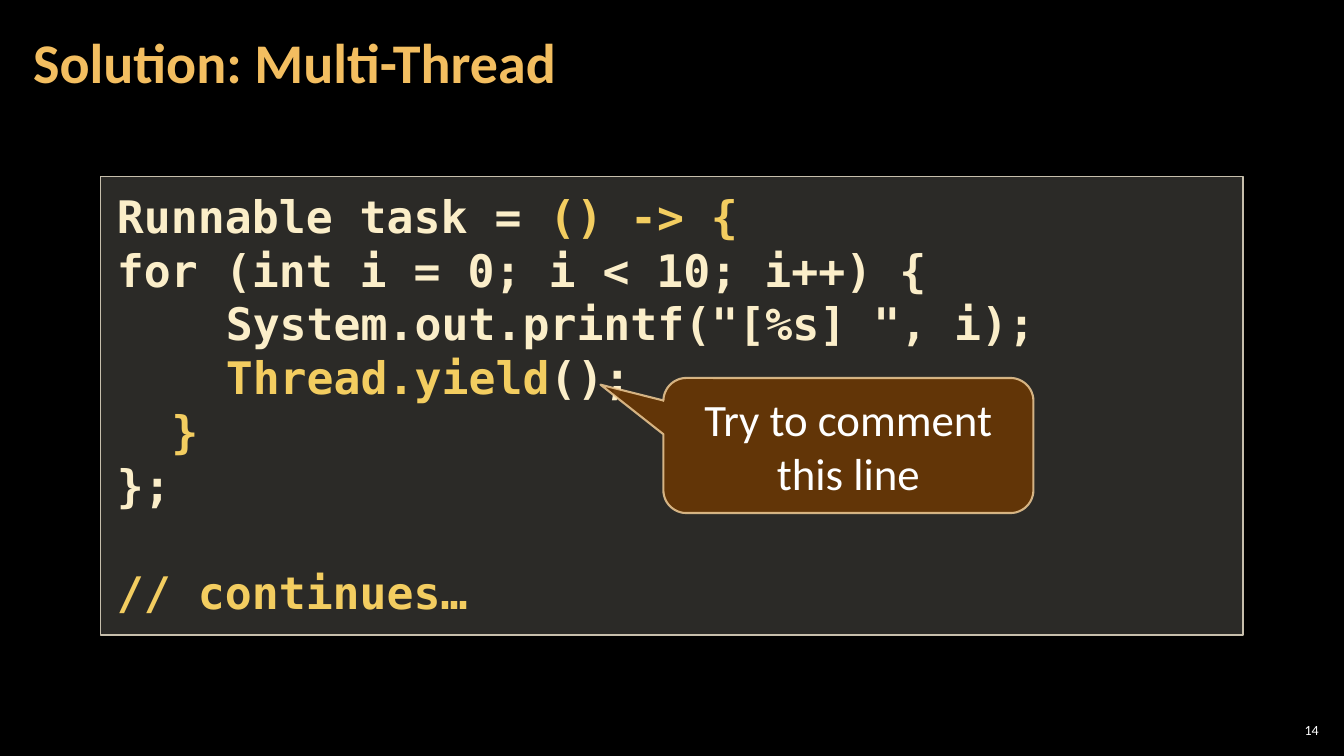
"""Builds the slide "Solution: Multi-Thread" with a code panel and a callout."""
from lxml import etree
from pptx import Presentation
from pptx.dml.color import RGBColor
from pptx.enum.shapes import MSO_SHAPE
from pptx.enum.text import MSO_ANCHOR, PP_ALIGN
from pptx.oxml.ns import qn
from pptx.util import Inches, Pt

RECTANGLE, CALLOUT = MSO_SHAPE.RECTANGLE, MSO_SHAPE.ROUNDED_RECTANGULAR_CALLOUT
TOP, MIDDLE = MSO_ANCHOR.TOP, MSO_ANCHOR.MIDDLE
LEFT, CENTER, RIGHT = PP_ALIGN.LEFT, PP_ALIGN.CENTER, PP_ALIGN.RIGHT
COLORS = {
    "background": "000000", "title": "F3BE60", "white": "FFFFFF",
    "code": "FBEEC9", "highlight": "F3CD60",
    "panel": "D9D5C7", "panel_line": "C7BFAC",
    "callout": "663606", "callout_line": "F8D49E",
}
CODE_FONT = "DejaVu Sans Mono"
CODE_SIZE = 32
CHARACTER_WIDTH = 0.27
LINE_HEIGHT = 38.4


def write(shape, lines, size, font="Calibri", bold=False, align=LEFT,
          anchor=MIDDLE, margins=(0.1, 0.05), line_spacing=None):
    """Fill a shape with lines of (indent, space before, [(text, color)])."""
    frame = shape.text_frame
    frame.word_wrap = True
    frame.vertical_anchor = anchor
    frame.margin_left = frame.margin_right = Inches(margins[0])
    frame.margin_top = frame.margin_bottom = Inches(margins[1])
    for number, (indent, space_before, parts) in enumerate(lines):
        paragraph = frame.paragraphs[0] if number == 0 else frame.add_paragraph()
        paragraph.alignment = align
        paragraph.space_before = Pt(space_before)
        if line_spacing:
            paragraph.line_spacing = line_spacing
        if indent:
            paragraph._p.get_or_add_pPr().set("marL", str(Inches(indent)))
        for text, color in parts:
            run = paragraph.add_run()
            run.text = text
            run.font.size = Pt(size)
            run.font.name = font
            run.font.bold = bold
            run.font.color.rgb = RGBColor.from_string(COLORS[color])


def paint(shape, name, opacity, line_width, line_opacity=100):
    """Give a shape a translucent fill and an outline."""
    shape.shadow.inherit = False
    shape.fill.solid()
    shape.line.width = Pt(line_width)
    for fill, color, percent in ((shape.fill, name, opacity),
                                 (shape.line.fill, name + "_line", line_opacity)):
        fill.solid()
        fill.fore_color.rgb = RGBColor.from_string(COLORS[color])
    outline = shape._element.spPr.find(qn("a:ln"))
    for parent, percent in ((shape._element.spPr, opacity), (outline, line_opacity)):
        rgb = parent.find(qn("a:solidFill")).find(qn("a:srgbClr"))
        etree.SubElement(rgb, qn("a:alpha")).set("val", str(percent * 1000))


deck = Presentation()
deck.slide_width, deck.slide_height = Inches(13.33), Inches(7.5)
slide = deck.slides.add_slide(deck.slide_layouts[6])
slide.background.fill.solid()
slide.background.fill.fore_color.rgb = RGBColor.from_string(COLORS["background"])

page_number = slide.shapes.add_textbox(
    Inches(12.65), Inches(7.14), Inches(0.47), Inches(0.21))
write(page_number, [(0, 0, [("14", "white")])], 10, align=RIGHT, margins=(0.04, 0.04))

title = slide.shapes.add_textbox(
    Inches(0.21), Inches(0.04), Inches(10.47), Inches(1.21))
write(title, [(0, 0, [("Solution: Multi-Thread", "title")])], 40,
      bold=True, margins=(0.12, 0.04), line_spacing=0.9)

code_panel = slide.shapes.add_shape(
    RECTANGLE, Inches(1), Inches(1.75), Inches(11.33), Inches(4.55))
paint(code_panel, "panel", 20, 1)
code_lines = [
    (0, 0, [("Runnable task = ", "code"), ("() -> {", "highlight")]),
    (0, 0, [("for (int i = 0; i < 10; i++) {", "code")]),
    (4, 0, [('System.out.printf("[%s] ", i);', "code")]),
    (4, 0, [("Thread.yield", "highlight"), ("();", "code")]),
    (2, 0, [("}", "highlight")]),
    (0, 0, [("};", "code")]),
    (0, LINE_HEIGHT, [("// continues…", "highlight")]),
]
write(code_panel,
      [(columns * CHARACTER_WIDTH, gap, parts) for columns, gap, parts in code_lines],
      CODE_SIZE, font=CODE_FONT, bold=True, anchor=TOP, margins=(0.16, 0.12),
      line_spacing=Pt(LINE_HEIGHT))

hint = slide.shapes.add_shape(
    CALLOUT, Inches(6.58), Inches(3.75), Inches(3.67), Inches(1.34))
for index, adjustment in enumerate((-0.67, -0.45, 0.17)):
    hint.adjustments[index] = adjustment
paint(hint, "callout", 95, 1.5, 80)
write(hint, [(0, 0, [("Try to comment this line", "white")])], 32, align=CENTER)

deck.save("out.pptx")
